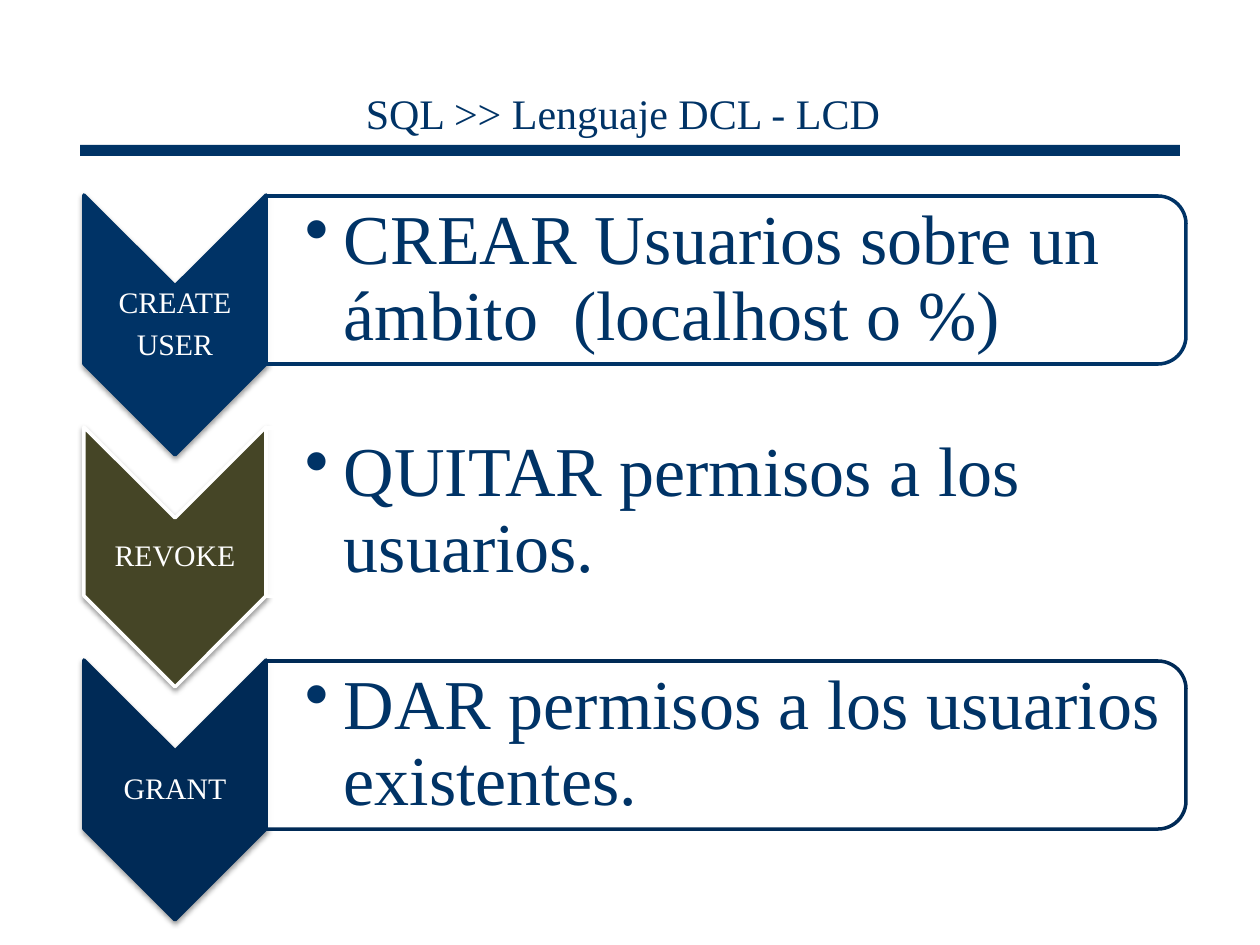
from lxml import etree
from pptx import Presentation
from pptx.dml.color import RGBColor
from pptx.enum.shapes import MSO_SHAPE
from pptx.enum.text import MSO_ANCHOR, PP_ALIGN
from pptx.oxml import parse_xml
from pptx.oxml.ns import nsdecls, qn
from pptx.util import Pt

PX = 914400 / 126
RECTANGLE = MSO_SHAPE.RECTANGLE
CHEVRON = MSO_SHAPE.CHEVRON
ROUND_TOP = MSO_SHAPE.ROUND_2_SAME_RECTANGLE
MIDDLE = MSO_ANCHOR.MIDDLE
CENTER = PP_ALIGN.CENTER
LEFT = PP_ALIGN.LEFT

NAVY = RGBColor(0x00, 0x33, 0x66)
DARK_NAVY = RGBColor(0x00, 0x2A, 0x56)
OLIVE = RGBColor(0x45, 0x45, 0x26)
WHITE = RGBColor(0xFF, 0xFF, 0xFF)

SHADOW = (
    f'<a:effectLst {nsdecls("a")}>'
    '<a:outerShdw blurRad="39370" dist="20320" dir="5400000" rotWithShape="0">'
    '<a:srgbClr val="000000"><a:alpha val="38000"/></a:srgbClr>'
    '</a:outerShdw></a:effectLst>'
)

presentation = Presentation()
presentation.slide_width = round(1260 * PX)
presentation.slide_height = round(945 * PX)
slide = presentation.slides.add_slide(presentation.slide_layouts[6])


def add_shape(kind, box, fill, line=None, rotation=0):
    shape = slide.shapes.add_shape(kind, *(round(value * PX) for value in box))
    shape.rotation = rotation
    shape.shadow.inherit = False
    shape.fill.solid()
    shape.fill.fore_color.rgb = fill
    if line is None:
        shape.line.fill.background()
    else:
        shape.line.color.rgb = line
        shape.line.width = Pt(2)
    return shape


def add_text(box, lines, size, color, align, spacing, after=0, insets=(1, 1, 1, 1), bullet=False):
    shape = slide.shapes.add_textbox(*(round(value * PX) for value in box))
    frame = shape.text_frame
    frame.word_wrap = True
    frame.vertical_anchor = MIDDLE
    frame.margin_left, frame.margin_top, frame.margin_right, frame.margin_bottom = (
        round(value * PX) for value in insets)
    frame.text = "\n".join(lines)
    for paragraph in frame.paragraphs:
        if bullet:
            properties = paragraph._p.get_or_add_pPr()
            properties.set("marL", str(round(39 * PX)))
            properties.set("indent", str(round(-39 * PX)))
            etree.SubElement(properties, qn("a:buChar")).set("char", "•")
        paragraph.alignment = align
        paragraph.line_spacing = spacing
        paragraph.space_after = Pt(after)
        paragraph.font.name = "Times New Roman"
        paragraph.font.size = Pt(size)
        paragraph.font.color.rgb = color


# Title and rule
add_shape(RECTANGLE, (80, 145, 1100, 11), NAVY)
add_text((25, 38, 1196, 157), ["SQL >> Lenguaje DCL - LCD"], 24, NAVY, CENTER, 0.85)

# One row per command: chevron, label, panel, description
rows = [
    (["CREATE", "USER"], "CREAR Usuarios sobre un ámbito  (localhost o %)", NAVY, NAVY),
    (["REVOKE"], "QUITAR permisos a los usuarios.", OLIVE, WHITE),
    (["GRANT"], "DAR permisos a los usuarios existentes.", DARK_NAVY, DARK_NAVY),
]
for index, (label, description, fill, line) in enumerate(rows):
    offset = index * 465 // 2

    chevron = add_shape(CHEVRON, (45, 234 + offset, 260, 182), fill, line, 90)
    effects = chevron._element.spPr.find(qn("a:effectLst"))
    effects.getparent().replace(effects, parse_xml(SHADOW))
    add_text((84, 286 + offset, 182, 78), label, 17, WHITE, CENTER, 0.9, 6)

    panel = add_shape(ROUND_TOP, (642, -180 + offset, 168, 920), WHITE, line, 90)
    panel_color = panel._element.spPr.find(qn("a:solidFill"))[0]
    etree.SubElement(panel_color, qn("a:alpha")).set("val", "90000")
    add_text((266, 204 + offset, 912, 152), [description], 40, NAVY, LEFT, 0.9, 6,
             (39, 4, 4, 4), bullet=True)

presentation.save("out.pptx")
